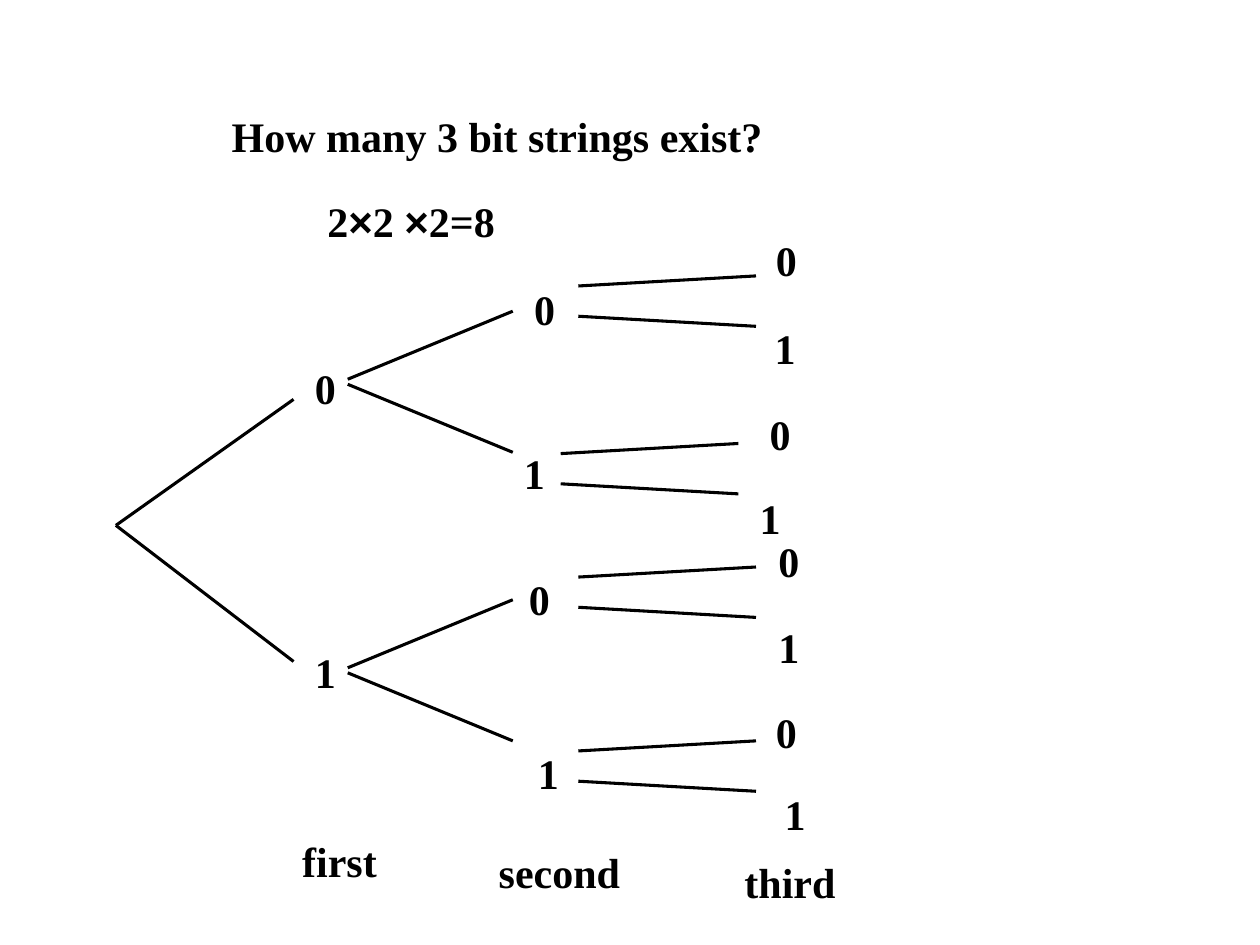
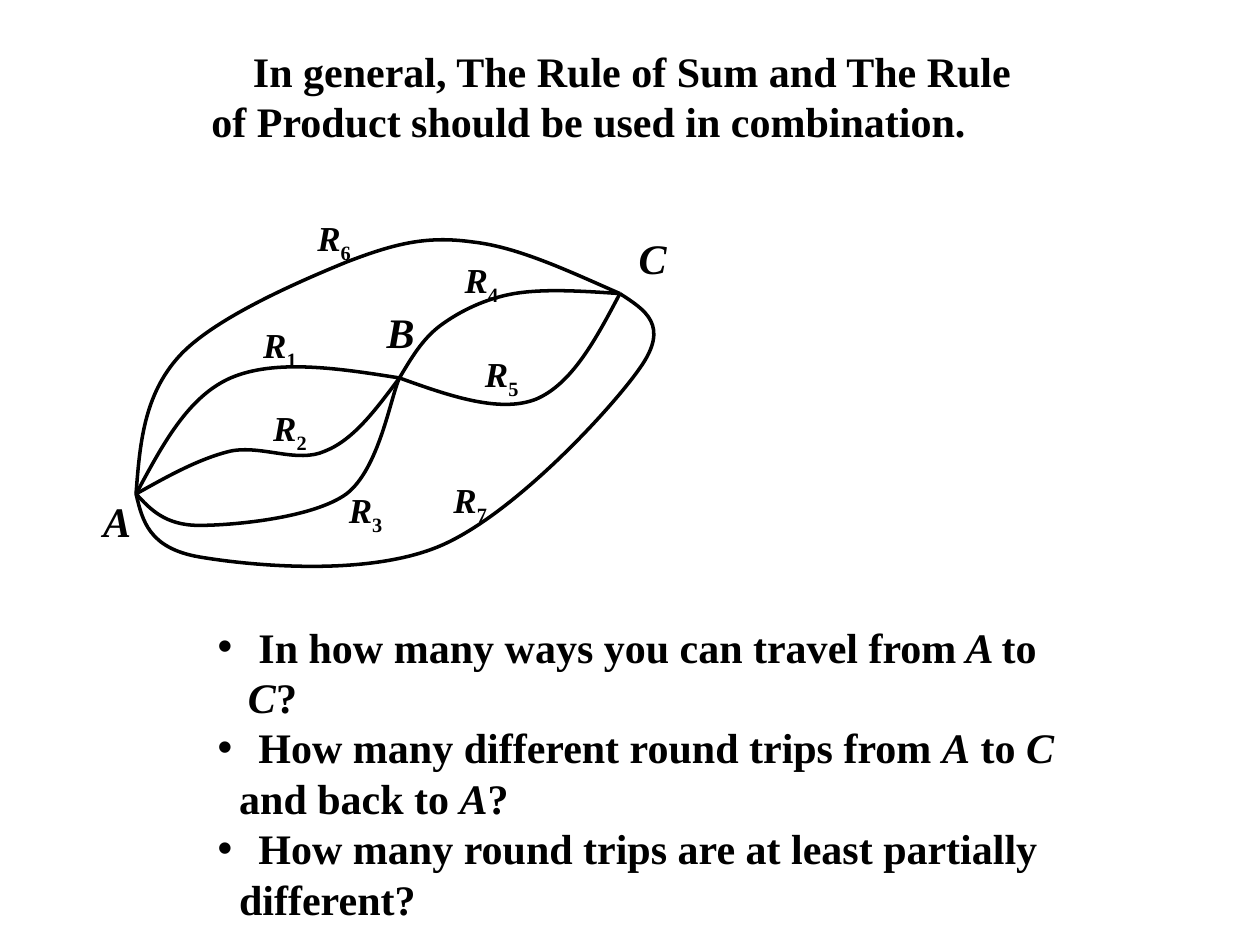
import pptx
import pptx.dml.color
import pptx.enum.shapes
import pptx.enum.text
import pptx.oxml
import pptx.oxml.ns
import pptx.util
from pptx.util import Inches

INK = "000000"
SERIF = "Times New Roman"
SANS = "Arial"


def color(hex_code):
    return pptx.dml.color.RGBColor.from_string(hex_code)


def add_xml(parent, tag, **attributes):
    element = pptx.oxml.parse_xml(f'<a:{tag} {pptx.oxml.ns.nsdecls("a")}/>')
    for key, value in attributes.items():
        element.set(key, value)
    parent.append(element)
    return element


def write(paragraph, text, size=24, font=SERIF, bold=True, italic=False, baseline=0):
    run = paragraph.add_run()
    run.text = text
    run.font.size = pptx.util.Pt(size)
    run.font.name = font
    run.font.bold = bold
    run.font.italic = italic
    run.font.color.rgb = color(INK)
    if baseline:
        run.font._element.set("baseline", str(baseline * 1000))


def bend(shape):
    outline = next(shape._element.iter(pptx.oxml.ns.qn("a:path")))
    sides = outline.findall(pptx.oxml.ns.qn("a:lnTo"))
    for start in range(0, len(sides), 3):
        curve = add_xml(outline, "cubicBezTo")
        for side in sides[start:start + 3]:
            curve.append(side[0])
            outline.remove(side)


class Deck:
    def __init__(self):
        self.presentation = pptx.Presentation()
        self.presentation.slide_width = Inches(10)
        self.presentation.slide_height = Inches(7.5)
        self.slide = None

    def new_slide(self):
        self.slide = self.presentation.slides.add_slide(self.presentation.slide_layouts[6])

    def frame(self, left, top, width, height=0.5, wrap=False):
        box = self.slide.shapes.add_textbox(
            Inches(left), Inches(top), Inches(width), Inches(height))
        box.text_frame.word_wrap = wrap
        box.text_frame.auto_size = pptx.enum.text.MSO_AUTO_SIZE.SHAPE_TO_FIT_TEXT
        box.text_frame.vertical_anchor = pptx.enum.text.MSO_ANCHOR.TOP
        return box.text_frame

    def label(self, text, left, top, width=0.36, height=0.5, **style):
        paragraph = self.frame(left, top, width, height).paragraphs[0]
        write(paragraph, text, **style)
        return paragraph

    def lines(self, rows, left, top, width, height):
        frame = self.frame(left, top, width, height, wrap=True)
        for index, (runs, margin, indent, bullet) in enumerate(rows):
            paragraph = frame.add_paragraph() if index else frame.paragraphs[0]
            properties = paragraph._p.get_or_add_pPr()
            properties.set("marL", str(Inches(margin)))
            properties.set("indent", str(Inches(indent)))
            if bullet:
                add_xml(properties, "buFont", typeface=SANS)
                add_xml(properties, "buChar", char="•")
            for text, style in runs:
                write(paragraph, text, **style)

    def branch(self, start, end):
        connector = self.slide.shapes.add_connector(
            pptx.enum.shapes.MSO_CONNECTOR.STRAIGHT, *map(Inches, start + end))
        connector.line.color.rgb = color(INK)
        connector.line.width = pptx.util.Pt(1.75)
        add_xml(connector._element.spPr, "effectLst")

    def fork(self, x, y, run, near, far):
        for side in (-1, 1):
            self.branch((x, y + side * near), (x + run, y + side * far))

    def road(self, start, *segments):
        points = [tuple(map(Inches, point)) for segment in segments for point in segment]
        builder = self.slide.shapes.build_freeform(*map(Inches, start))
        builder.add_line_segments(points, close=False)
        shape = builder.convert_to_shape()
        bend(shape)
        shape.shadow.inherit = False
        shape.fill.background()
        shape.line.color.rgb = color(INK)
        shape.line.width = pptx.util.Pt(2)


def build_bit_strings(deck):
    deck.new_slide()
    deck.label("How many 3 bit strings exist?", 1.74, 0.83, 4.41)
    product = deck.label("2", 2.5, 1.5, 1.75)
    for text, font in (("×", SANS), ("2 ", SERIF), ("×", SANS), ("2=8", SERIF)):
        write(product, text, font=font)

    for stage, left, top, width in (
        ("first", 2.3, 6.58, 0.79), ("second", 3.86, 6.67, 1.16), ("third", 5.81, 6.75, 0.92),
    ):
        deck.label(stage, left, top, width)

    bit_places = (
        ((2.4, 2.83), (2.4, 5.08)),
        ((4.14, 2.2), (4.06, 3.5), (4.1, 4.5), (4.17, 5.88)),
        ((6.06, 1.81), (6.05, 2.51), (6.01, 3.19), (5.93, 3.86),
         (6.08, 4.2), (6.08, 4.88), (6.06, 5.56), (6.13, 6.21)),
    )
    for places in bit_places:
        for index, (left, top) in enumerate(places):
            deck.label(str(index % 2), left, top)

    root = (0.92, 4.17)
    deck.branch(root, (2.33, 3.17))
    deck.branch(root, (2.33, 5.25))
    for middle in (3.03, 5.32):
        deck.fork(2.76, middle, 1.31, 0.02, 0.56)
    for x, middle in ((4.59, 2.39), (4.45, 3.72), (4.59, 4.7), (4.59, 6.08)):
        deck.fork(x, middle, 1.41, 0.12, 0.2)


def build_routes(deck):
    deck.new_slide()
    deck.lines([
        ([("In general, The Rule of Sum and The Rule", {})], 0, 0.33, False),
        ([("of Product should be used in combination.", {})], 0, 0, False),
    ], 1.58, 0.31, 6.64, 0.9)

    a, b, c = (1.08, 3.92), (3.17, 3), (4.92, 2.33)
    deck.road(a, ((1.29, 3.53), (1.49, 3.15), (1.83, 3)), ((2.18, 2.85), (2.67, 2.92), b))
    deck.road(a, ((1.33, 3.78), (1.58, 3.64), (1.83, 3.58)),
              ((2.08, 3.53), (2.36, 3.68), (2.58, 3.58)), ((2.81, 3.49), (2.99, 3.24), b))
    deck.road(a, ((1.19, 4.04), (1.31, 4.17), (1.58, 4.17)),
              ((1.86, 4.17), (2.49, 4.11), (2.75, 3.92)), ((3.01, 3.72), (3.1, 3.15), b))
    deck.road(b, ((3.26, 2.85), (3.35, 2.69), (3.5, 2.58)),
              ((3.65, 2.47), (3.85, 2.37), (4.08, 2.33)), ((4.32, 2.29), (4.62, 2.31), c))
    deck.road(b, ((3.56, 3.14), (3.96, 3.28), (4.25, 3.17)), ((4.54, 3.05), (4.73, 2.69), c))
    deck.road(a, ((1.11, 3.53), (1.14, 3.14), (1.42, 2.83)),
              ((1.69, 2.53), (2.36, 2.24), (2.75, 2.08)),
              ((3.14, 1.93), (3.39, 1.87), (3.75, 1.92)), ((4.11, 1.96), (4.51, 2.15), c))
    deck.road(a, ((1.13, 4.13), (1.18, 4.35), (1.58, 4.42)),
              ((1.99, 4.49), (2.92, 4.58), (3.5, 4.33)),
              ((4.08, 4.08), (4.85, 3.25), (5.08, 2.92)), ((5.32, 2.58), (5.12, 2.46), c))

    for town, left, top in (("A", 0.72, 3.88), ("C", 4.97, 1.8), ("B", 2.97, 2.38)):
        deck.label(town, left, top, 0.42, italic=True)
    route_places = ((1.99, 2.52), (2.07, 3.18), (2.67, 3.83), (3.59, 2),
                    (3.75, 2.75), (2.42, 1.67), (3.5, 3.75))
    for number, (left, top) in enumerate(route_places, 1):
        route = deck.label("R", left, top, 0.47, 0.48, size=20, italic=True)
        write(route, str(number), size=20, baseline=-25)

    plain, slanted = {}, {"italic": True}
    question = (0.24, -0.24, True)
    continuation = (0.17, 0, False)
    deck.lines([
        ([(" In how many ways you can travel from", plain), (" A ", slanted), ("to", plain),
          (" C", slanted), ("?", plain)], *question),
        ([(" How many different round trips from ", plain), ("A", slanted), (" to ", plain),
          ("C", slanted)], *question),
        ([("and back to ", plain), ("A", slanted), ("?", plain)], *continuation),
        ([(" How many round trips are at least partially", plain)], *question),
        ([("different?", plain)], *continuation),
    ], 1.63, 4.88, 6.9, 2.5)


def main():
    deck = Deck()
    build_bit_strings(deck)
    build_routes(deck)
    deck.presentation.save("out.pptx")


if __name__ == "__main__":
    main()
